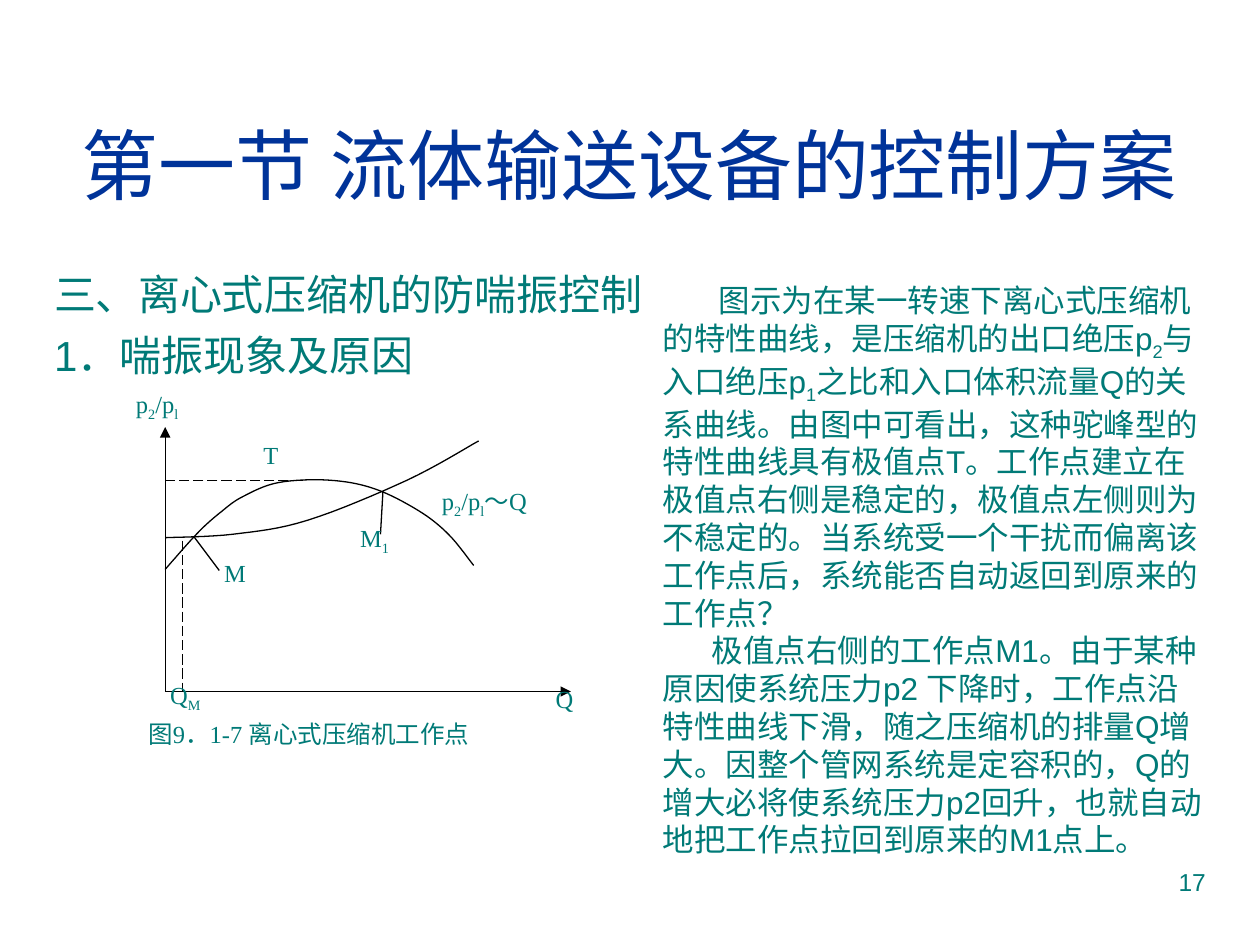
import pptx
import pptx.util
import pptx.dml.color
import pptx.enum.dml
import pptx.enum.shapes
import pptx.enum.text
from lxml import etree
from pptx.oxml.ns import qn

Cm = pptx.util.Cm
Pt = pptx.util.Pt
TEAL = "007A77"
NAVY = "003399"
BLACK = "000000"
LABEL_HEIGHT = 1.1


def color(hex_string):
    return pptx.dml.color.RGBColor.from_string(hex_string)


def set_font(paragraph, size, face, hex_string):
    paragraph.font.size = Pt(size)
    paragraph.font.name = face
    paragraph.font.color.rgb = color(hex_string)


def write_runs(paragraph, text):
    for index, part in enumerate(text.split("|")):
        if part:
            run = paragraph.add_run()
            run.text = part
            if index % 2:
                run._r.get_or_add_rPr().set("baseline", "-25000")


def add_text(slide, box, paragraphs, size, face="Arial", align="LEFT", indents=(), gap=0):
    left, top, width, height = box
    frame = slide.shapes.add_textbox(Cm(left), Cm(top), Cm(width), Cm(height)).text_frame
    frame.word_wrap = True
    for index, text in enumerate(paragraphs):
        paragraph = frame.paragraphs[0] if index == 0 else frame.add_paragraph()
        if indents:
            paragraph._p.get_or_add_pPr().set("indent", str(Cm(indents[index])))
        paragraph.alignment = getattr(pptx.enum.text.PP_ALIGN, align)
        if index and gap:
            paragraph.space_before = Pt(gap)
        write_runs(paragraph, text)
        set_font(paragraph, size, face, TEAL)


def style_line(line, dashed=False, arrow=False):
    line.color.rgb = color(BLACK)
    line.width = Pt(0.75)
    if dashed:
        line.dash_style = pptx.enum.dml.MSO_LINE.LONG_DASH
    if arrow:
        etree.SubElement(line._get_or_add_ln(), qn("a:tailEnd"), type="triangle")


def add_line(slide, origin, start, end, dashed=False, arrow=False):
    left, top = origin
    connector = slide.shapes.add_connector(
        pptx.enum.shapes.MSO_CONNECTOR.STRAIGHT,
        Cm(left + start[0]), Cm(top + start[1]), Cm(left + end[0]), Cm(top + end[1]))
    style_line(connector.line, dashed, arrow)
    etree.SubElement(connector._element.spPr, qn("a:effectLst"))


def smooth_points(knots, steps=8):
    padded = [knots[0], *knots, knots[-1]]
    points = [knots[0]]
    for before, start, end, after in zip(padded, padded[1:], padded[2:], padded[3:]):
        for step in range(1, steps + 1):
            t = step / steps
            points.append(tuple(
                0.5 * (2 * b + (c - a) * t + (2 * a - 5 * b + 4 * c - d) * t ** 2
                       + (3 * b - a - 3 * c + d) * t ** 3)
                for a, b, c, d in zip(before, start, end, after)))
    return points


def add_curve(slide, origin, knots):
    points = [(Cm(origin[0] + x), Cm(origin[1] + y)) for x, y in smooth_points(knots)]
    builder = slide.shapes.build_freeform(*points[0])
    builder.add_line_segments(points[1:], close=False)
    curve = builder.convert_to_shape()
    curve.fill.background()
    curve.shadow.inherit = False
    style_line(curve.line)


def add_title(slide, box):
    title = slide.shapes.title
    title.left, title.top, title.width, title.height = (Cm(length) for length in box)
    title.text_frame.text = "第一节 流体输送设备的控制方案"
    title.text_frame.vertical_anchor = pptx.enum.text.MSO_ANCHOR.MIDDLE
    paragraph = title.text_frame.paragraphs[0]
    paragraph.alignment = pptx.enum.text.PP_ALIGN.CENTER
    set_font(paragraph, 44, "Arial", NAVY)


def add_operating_point_figure(slide, box):
    left, top = origin = box[:2]
    corner = (0.84, 6.22)
    add_line(slide, origin, corner, (9.02, corner[1]), arrow=True)
    add_line(slide, origin, corner, (corner[0], 0.89), arrow=True)

    pipe_network = [(0.84, 3.12), (2.21, 3.05), (3.71, 2.77), (5.72, 1.96), (7.16, 1.17)]
    compressor = [(0.84, 3.76), (1.5, 3.02), (1.98, 2.59), (2.41, 2.29), (3.12, 2.01),
                  (4.14, 1.96), (5.05, 2.13), (5.94, 2.57), (6.55, 3.05), (7.06, 3.68)]
    for knots in (pipe_network, compressor):
        add_curve(slide, origin, knots)

    add_line(slide, origin, (1.19, 3.18), (1.19, corner[1]), dashed=True)
    add_line(slide, origin, (3.61, 1.96), (corner[0], 1.96), dashed=True)
    add_line(slide, origin, (1.93, 3.78), (1.42, 3.1))
    add_line(slide, origin, (5.18, 3.05), (5.23, 2.18))

    labels = [
        ("p|2|/p|l|", 0, 0, 2.13),
        ("T", 2.57, 1.02, 1.35),
        ("p|2|/p|l|～Q", 6.17, 1.96, 3.07),
        ("M|1|", 4.52, 2.69, 1.35),
        ("M", 1.78, 3.4, 1.3),
        ("Q", 8.46, 5.94, 1.02),
        ("Q|M|", 0.69, 5.87, 1.37),
        ("图9．1-7 离心式压缩机工作点", 0.25, 6.65, 9.55),
    ]
    for text, x, y, width in labels:
        add_text(slide, (left + x, top + y, width, LABEL_HEIGHT), [text], 14, "Times New Roman")


def add_headings(slide, box):
    add_text(slide, box, ["三、离心式压缩机的防喘振控制", "1．喘振现象及原因"], 24, gap=6)


def add_explanation(slide, box):
    add_text(slide, box, [
        "图示为在某一转速下离心式压缩机的特性曲线，是压缩机的出口绝压p|2|与入口绝压p|1|"
        "之比和入口体积流量Q的关系曲线。由图中可看出，这种驼峰型的特性曲线具有极值点T。"
        "工作点建立在极值点右侧是稳定的，极值点左侧则为不稳定的。"
        "当系统受一个干扰而偏离该工作点后，系统能否自动返回到原来的工作点？",
        "极值点右侧的工作点M1。由于某种原因使系统压力p2 下降时，工作点沿特性曲线下滑，"
        "随之压缩机的排量Q增大。因整个管网系统是定容积的，Q的增大必将使系统压力p2回升，"
        "也就自动地把工作点拉回到原来的M1点上。",
    ], 18, indents=(1.13, 0.99))


def add_page_number(slide, box):
    add_text(slide, box, ["17"], 14, align="RIGHT")


def main():
    deck = pptx.Presentation()
    deck.slide_width, deck.slide_height = Cm(25.4), Cm(19.05)
    slide = deck.slides.add_slide(deck.slide_layouts[5])
    add_title(slide, (0.84, 1.7, 23.72, 3.18))
    add_headings(slide, (0.84, 5.28, 23.72, 11.66))
    add_operating_point_figure(slide, (2.49, 7.72, 9.8, 7.8))
    add_explanation(slide, (13.11, 5.54, 11.4, 12.65))
    add_page_number(slide, (18.21, 17.35, 6.35, 1.32))
    deck.save("out.pptx")


if __name__ == "__main__":
    main()
